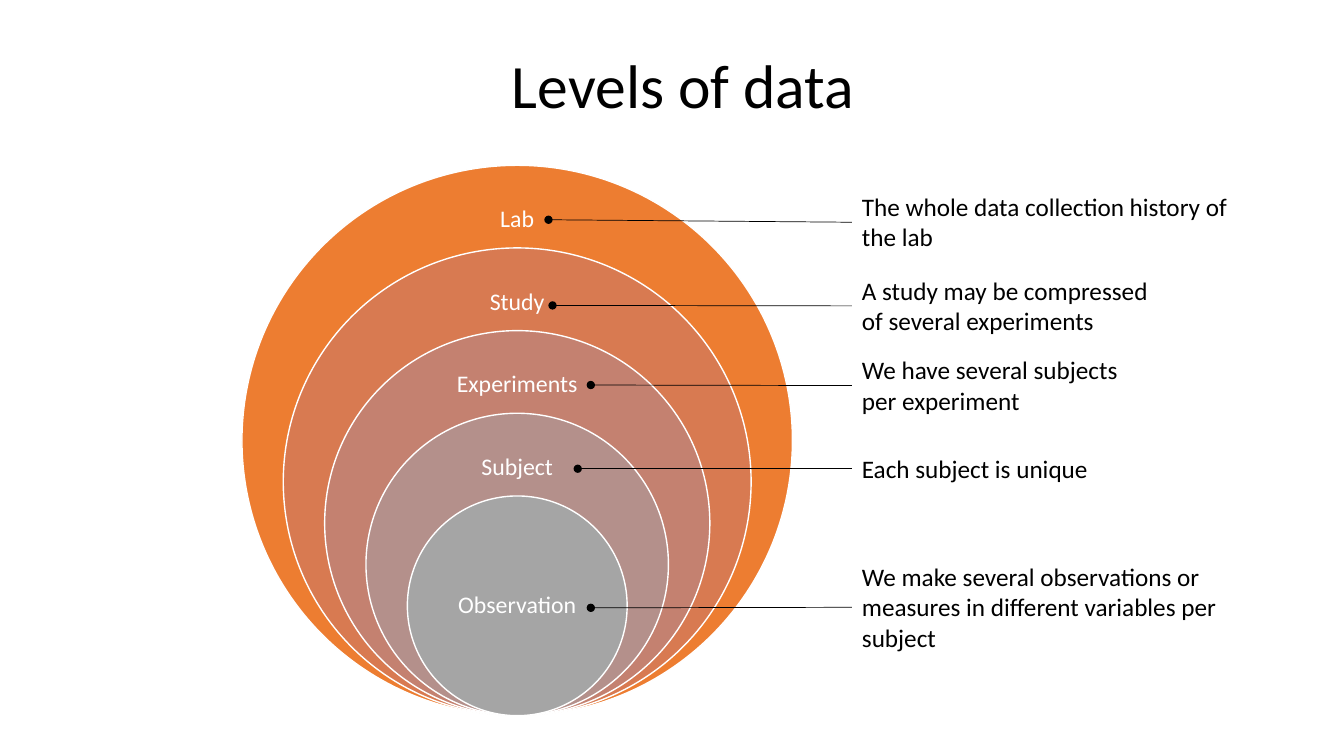
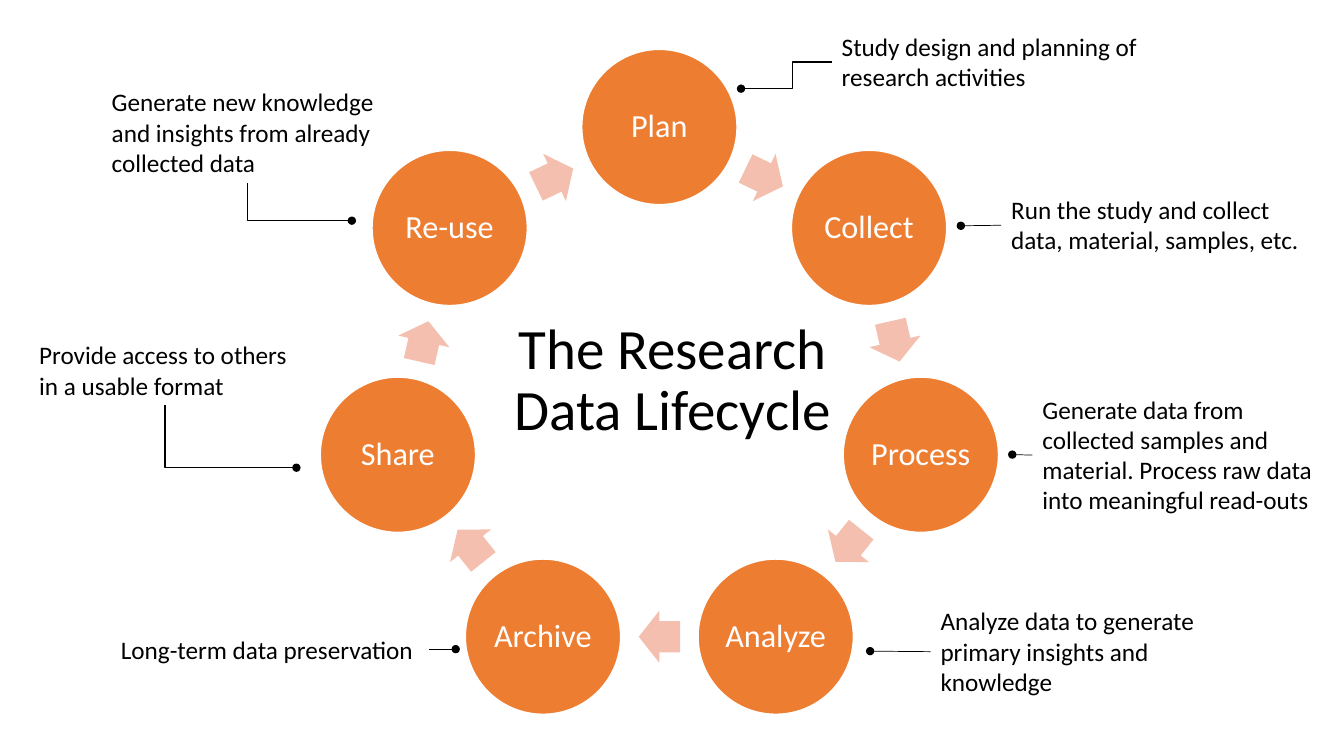
import math

from lxml import etree
from pptx import Presentation, util as u
from pptx.dml import color
from pptx.enum import shapes, text
from pptx.oxml import ns

FONT = "Calibri"
BLACK, WHITE, ORANGE, PEACH = "000000", "FFFFFF", "ED7D31", "F4BFAE"
TITLE = dict(size=44, line_spacing=0.9, anchor=text.MSO_ANCHOR.MIDDLE)
CENTERED = dict(color=WHITE, line_spacing=0.9, align=text.PP_ALIGN.CENTER,
                anchor=text.MSO_ANCHOR.MIDDLE)
TOP, LEFT, BOTTOM, RIGHT = range(4)
STRAIGHT, CORNER, STEP = "line", "bentConnector2", "bentConnector3"

# Nested circles, outermost first: label, fill
LEVELS = [("Lab", ORANGE), ("Study", "D87A51"), ("Experiments", "C48170"),
          ("Subject", "B4908B"), ("Observation", "A5A5A5")]
OUTER_DIAMETER, DIAMETER_STEP = 5.46, 0.82
NEST_X, NEST_BOTTOM = 5.13, 7.1

# Text, top, width, height, dot at the circle
LEVEL_NOTES = [
    ("The whole data collection history of the lab", 1.85, 3.98, 0.71, (5.44, 2.18)),
    ("A study may be compressed of several experiments", 2.68, 3.22, 0.71, (5.48, 3.03)),
    ("We have several subjects per experiment", 3.47, 2.92, 0.71, (5.86, 3.82)),
    ("Each subject is unique", 4.45, 3.1, 0.4, (5.73, 4.65)),
    ("We make several observations or measures in different variables per subject",
     5.52, 3.98, 1.01, (5.86, 6.03)),
]

STAGES = ["Plan", "Collect", "Process", "Analyze", "Archive", "Share", "Re-use"]
RING_X, RING_Y, RING_RADIUS = 6.54, 3.92, 2.66
STAGE_DIAMETER, ARROW_LENGTH, ARROW_WIDTH = 1.54, 0.41, 0.52

# Text, box, dot at the stage, joined side, connector shape
STAGE_NOTES = [
    ("Study design and planning of research activities",
     (8.25, 0.26, 3.98, 0.71), (7.35, 0.88), LEFT, STEP),
    ("Run the study and collect data, material, samples, etc.",
     (9.93, 1.88, 3.15, 0.71), (9.53, 2.24), LEFT, STRAIGHT),
    ("Generate data from collected samples and material. "
     "Process raw data into meaningful read-outs",
     (10.24, 3.86, 3.09, 1.31), (10.04, 4.51), LEFT, STRAIGHT),
    ("Analyze data to generate primary insights and knowledge",
     (9.23, 5.96, 3.15, 1.01), (8.63, 6.46), LEFT, STRAIGHT),
    ("Long-term data preservation",
     (1.1, 6.24, 3.15, 0.4), (4.52, 6.44), RIGHT, STRAIGHT),
    ("Provide access to others in a usable format",
     (0.29, 3.32, 2.69, 0.7), (2.94, 4.64), BOTTOM, CORNER),
    ("Generate new knowledge and insights from already collected data",
     (1.01, 0.81, 2.89, 1.01), (3.49, 2.19), BOTTOM, CORNER),
]


def rgb(value):
    return color.RGBColor.from_string(value)


def inches(*lengths):
    return [u.Inches(length) for length in lengths]


def set_text(shape, words, size=18, color=BLACK, align=text.PP_ALIGN.LEFT,
             anchor=text.MSO_ANCHOR.TOP, line_spacing=1.0, inset=None):
    frame = shape.text_frame
    frame.word_wrap = True
    frame.vertical_anchor = anchor
    if inset is not None:
        frame.margin_left = frame.margin_right = u.Inches(inset)
        frame.margin_top = frame.margin_bottom = u.Inches(inset)
    paragraph = frame.paragraphs[0]
    paragraph.alignment = align
    paragraph.line_spacing = line_spacing
    run = paragraph.add_run()
    run.text = words
    run.font.name = FONT
    run.font.size = u.Pt(size)
    run.font.color.rgb = rgb(color)


def add_text(slide, words, box, **format):
    shape = slide.shapes.add_textbox(*inches(*box))
    set_text(shape, words, **format)
    return shape


def add_centered(slide, kind, x, y, width, height, fill):
    """Add a filled preset shape around the point x, y."""
    shape = slide.shapes.add_shape(
        kind, *inches(x - width / 2, y - height / 2, width, height))
    shape.shadow.inherit = False
    shape.fill.solid()
    shape.fill.fore_color.rgb = rgb(fill)
    shape.line.fill.background()
    return shape


def add_circle(slide, x, y, diameter, fill):
    circle = add_centered(slide, shapes.MSO_SHAPE.OVAL, x, y, diameter, diameter, fill)
    circle.line.color.rgb = rgb(WHITE)
    circle.line.width = u.Pt(1)
    return circle


def add_callout(slide, words, box, dot, side=LEFT, route=STRAIGHT):
    """Add a note and a line from a dot to one side of the note."""
    note = add_text(slide, words, box)
    note.text_frame.auto_size = text.MSO_AUTO_SIZE.SHAPE_TO_FIT_TEXT
    kind = shapes.MSO_CONNECTOR.STRAIGHT if route == STRAIGHT else shapes.MSO_CONNECTOR.ELBOW
    connector = slide.shapes.add_connector(kind, *inches(*dot, *dot))
    connector.end_connect(note, side)
    connector.line.color.rgb = rgb(BLACK)
    connector.line.width = u.Pt(0.5 if route == STRAIGHT else 1)
    properties = connector.element.spPr
    geometry = properties.find(ns.qn("a:prstGeom"))
    geometry.set("prst", route)
    if route == STEP:
        guides = geometry.find(ns.qn("a:avLst"))
        etree.SubElement(guides, ns.qn("a:gd"), name="adj1", fmla="val 57000")
    line = properties.find(ns.qn("a:ln"))
    etree.SubElement(line, ns.qn("a:headEnd"), type="oval")
    etree.SubElement(properties, ns.qn("a:effectLst"))


def build_levels(slide):
    add_text(slide, "Levels of data", (4.98, 0.15, 4.23, 1.45), **TITLE)
    for index, (name, fill) in enumerate(LEVELS):
        diameter = OUTER_DIAMETER - index * DIAMETER_STEP
        middle = NEST_BOTTOM - diameter / 2
        add_circle(slide, NEST_X, middle, diameter, fill)
        innermost = index == len(LEVELS) - 1
        label_y = middle if innermost else NEST_BOTTOM - diameter + 0.54
        add_text(slide, name, (NEST_X - 1, label_y - 0.27, 2, 0.54),
                 size=17, inset=0.13, **CENTERED)
    for words, top, width, height, dot in LEVEL_NOTES:
        add_callout(slide, words, (8.45, top, width, height), dot)


def ring_point(angle, radius):
    """Return the point at a clockwise angle from the top of the ring."""
    turn = math.radians(angle)
    return RING_X + radius * math.sin(turn), RING_Y - radius * math.cos(turn)


def build_lifecycle(slide):
    step = 360 / len(STAGES)
    chord_distance = RING_RADIUS * math.cos(math.radians(step / 2))
    for index, name in enumerate(STAGES):
        circle = add_circle(slide, *ring_point(index * step, RING_RADIUS),
                            STAGE_DIAMETER, ORANGE)
        set_text(circle, name, size=23, inset=0.03, **CENTERED)
        angle = (index + 0.5) * step
        arrow = add_centered(slide, shapes.MSO_SHAPE.RIGHT_ARROW,
                             *ring_point(angle, chord_distance),
                             ARROW_LENGTH, ARROW_WIDTH, PEACH)
        arrow.adjustments[0] = 0.6
        arrow.adjustments[1] = 0.5
        arrow.rotation = angle
    add_text(slide, "The Research Data Lifecycle", (4.93, 3.06, 3.48, 1.45),
             **{**TITLE, "size": 40.7, "align": text.PP_ALIGN.CENTER})
    for note in STAGE_NOTES:
        add_callout(slide, *note)


def main():
    presentation = Presentation()
    presentation.slide_width, presentation.slide_height = inches(13.33, 7.5)
    blank = presentation.slide_layouts[6]
    for build in (build_levels, build_lifecycle):
        build(presentation.slides.add_slide(blank))
    presentation.save("out.pptx")


if __name__ == "__main__":
    main()
